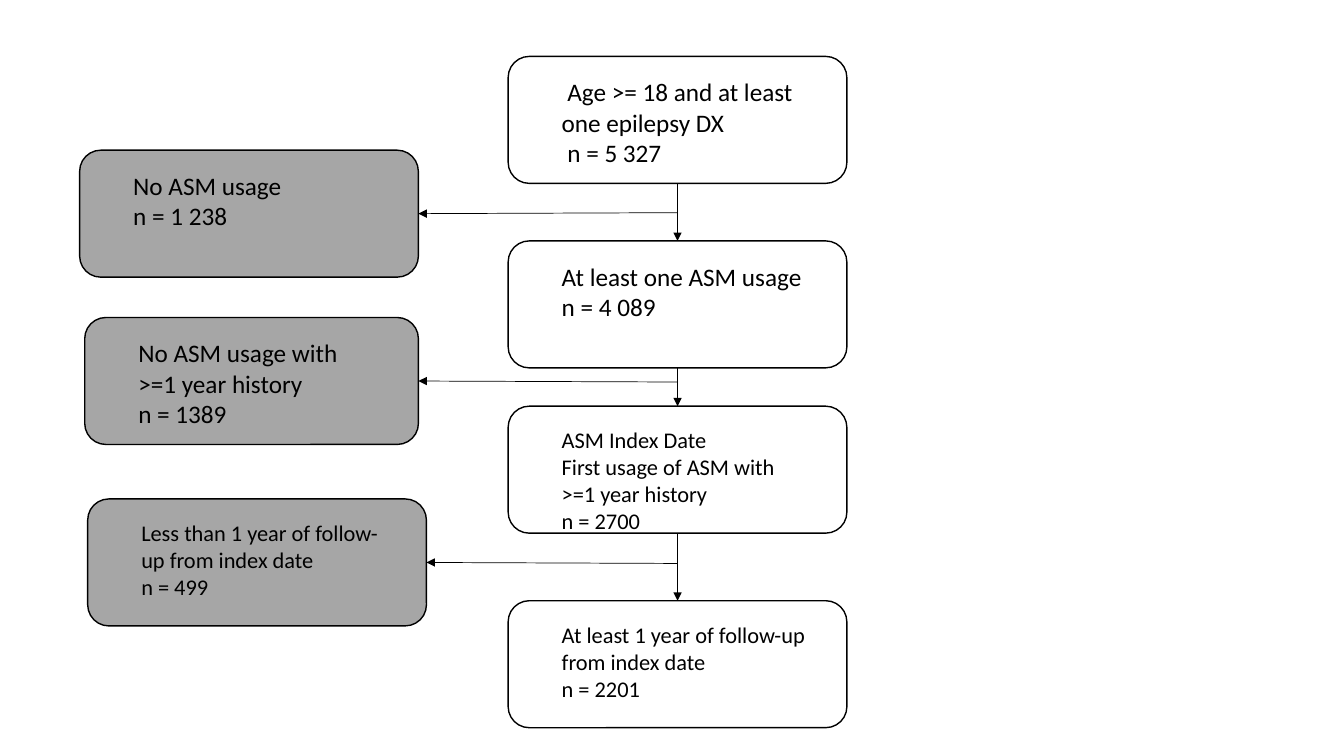
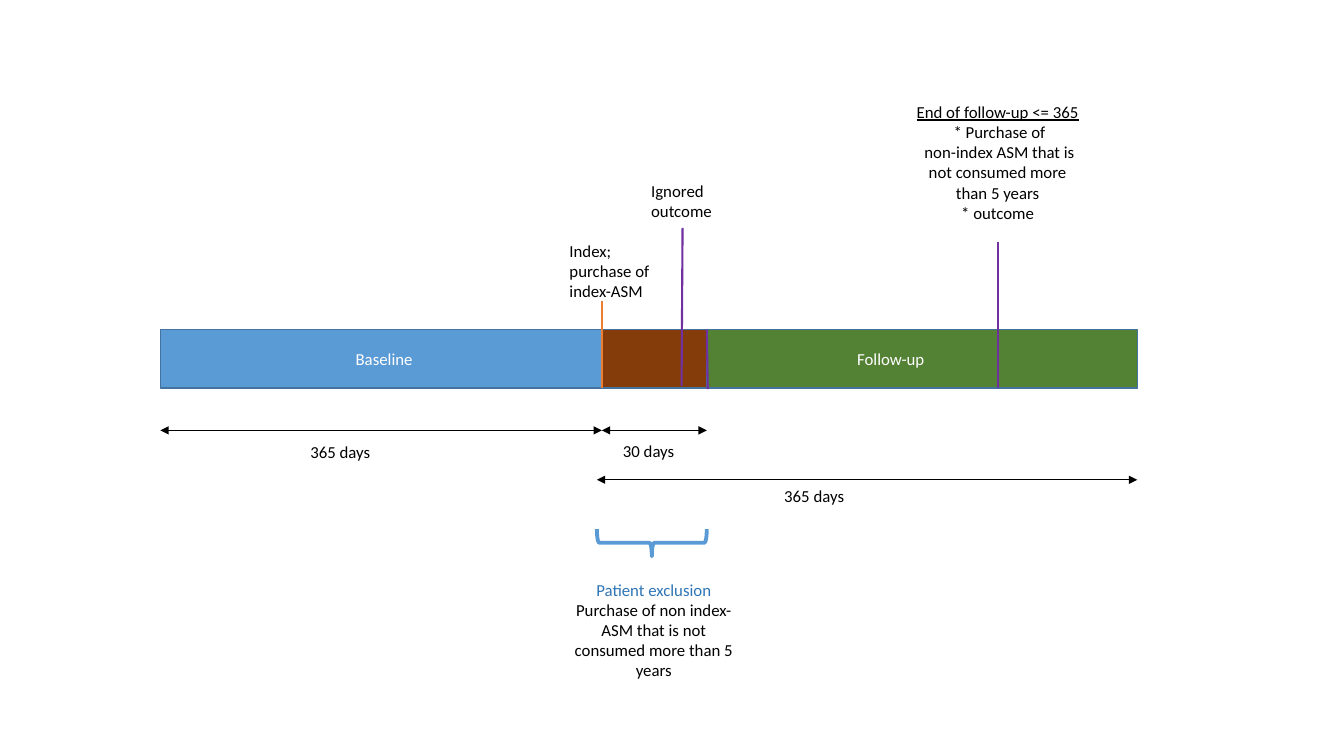
from pptx import Presentation
from pptx.dml.color import RGBColor
from pptx.enum.shapes import MSO_CONNECTOR, MSO_SHAPE
from pptx.enum.text import MSO_ANCHOR, PP_ALIGN
from pptx.oxml.ns import qn
from pptx.util import Inches, Pt
from lxml.etree import SubElement

# Shared style
FONT = "Calibri"
BLACK, WHITE, GREY = "000000", "FFFFFF", "A6A6A6"
BLUE, BLUE_EDGE, BLUE_TEXT = "5B9BD5", "43739E", "2E75B6"
BROWN, GREEN, ORANGE, PURPLE = "843C0B", "548235", "ED7D31", "7030A0"


def rgb(value):
    return RGBColor.from_string(value)


def add_text(tf, paragraphs, size, color=BLACK, align=PP_ALIGN.LEFT):
    """Each paragraph is a string or a (string, colour, underline) tuple."""
    tf.word_wrap = True
    for i, item in enumerate(paragraphs):
        text, run_color, underline = (item, color, False) if isinstance(item, str) else item
        p = tf.paragraphs[0] if i == 0 else tf.add_paragraph()
        p.alignment = align
        r = p.add_run()
        r.text = text
        r.font.name = FONT
        r.font.size = Pt(size)
        r.font.underline = underline
        r.font.color.rgb = rgb(run_color)


def set_margins(tf, left, top, right, bottom):
    tf.margin_left, tf.margin_top = Inches(left), Inches(top)
    tf.margin_right, tf.margin_bottom = Inches(right), Inches(bottom)


def add_box(slide, kind, box, fill, line, width=1):
    sp = slide.shapes.add_shape(kind, *[Inches(v) for v in box])
    sp.shadow.inherit = False
    if fill:
        sp.fill.solid()
        sp.fill.fore_color.rgb = rgb(fill)
    else:
        sp.fill.background()
    sp.line.color.rgb = rgb(line)
    sp.line.width = Pt(width)
    return sp


def add_label(slide, box, paragraphs, align=PP_ALIGN.LEFT):
    tb = slide.shapes.add_textbox(*[Inches(v) for v in box])
    add_text(tb.text_frame, paragraphs, 12, align=align)


def add_line(slide, start, end, color=BLACK, width=1.0, arrows=()):
    """arrows holds "headEnd" and/or "tailEnd"."""
    cn = slide.shapes.add_connector(
        MSO_CONNECTOR.STRAIGHT, *[Inches(v) for v in (*start, *end)])
    cn.line.color.rgb = rgb(color)
    cn.line.width = Pt(width)
    ln = cn.line._get_or_add_ln()
    for arrow in arrows:
        SubElement(ln, qn(f"a:{arrow}")).set("type", "triangle")
    SubElement(cn._element.spPr, qn("a:effectLst"))
    return cn


# Slide 1: patient selection flow
BOX_H = 1.26


def flow_box(slide, left, top, width, size, paragraphs, fill=None):
    sp = add_box(slide, MSO_SHAPE.ROUNDED_RECTANGLE, (left, top, width, BOX_H), fill, BLACK)
    tf = sp.text_frame
    tf.vertical_anchor = MSO_ANCHOR.TOP
    set_margins(tf, 0.47, 0.14, 0.31, 0)
    add_text(tf, paragraphs, size)
    return sp


def flow_slide(slide):
    left, width = 5.04, 3.36
    center = left + width / 2
    steps = [
        (0.56, 18, [" Age >= 18 and at least one epilepsy DX", " n = 5 327"]),
        (2.39, 18, ["At least one ASM usage", "n = 4 089"]),
        (4.03, 16, ["ASM Index Date", "First usage of ASM with >=1 year history", "n = 2700"]),
        (5.96, 16, ["At least 1 year of follow-up from index date", "n = 2201"]),
    ]
    exclusions = [
        (0.79, 1.49, 3.36, 18, ["No ASM usage", "n = 1 238"], 2.11),
        (0.84, 3.15, 3.31, 18, ["No ASM usage with >=1 year history", "n = 1389"], 3.79),
        (0.87, 4.95, 3.36, 16,
         ["Less than 1 year of follow-up from index date", "n = 499"], 5.59),
    ]
    boxes = [flow_box(slide, left, top, width, size, text) for top, size, text in steps]
    # Arrows down the main column
    for upper, lower in zip(boxes, boxes[1:]):
        cn = add_line(slide, (center, 0), (center, 1), width=0.5, arrows=["tailEnd"])
        cn.begin_connect(upper, 2)
        cn.end_connect(lower, 0)
    # Excluded groups, each with its branch
    for x, y, w, size, text, branch_y in exclusions:
        sp = flow_box(slide, x, y, w, size, text, GREY)
        cn = add_line(slide, (center, branch_y), (x + w, branch_y),
                      width=0.5, arrows=["tailEnd"])
        cn.end_connect(sp, 3)


# Slide 2: study timeline
START, INDEX, GRACE_END, END = 1.59, 5.97, 7.01, 11.28
FOLLOW_START = 5.92


def timeline_bar(slide, top, height):
    # Start, end, fill, text and horizontal shift of the text
    periods = [
        (START, INDEX, BLUE, "Baseline", 0.03),
        (INDEX, GRACE_END, BROWN, None, 0),
        (GRACE_END, END, GREEN, "Follow-up", -0.31),
    ]
    for x1, x2, fill, text, shift in periods:
        sp = add_box(slide, MSO_SHAPE.RECTANGLE, (x1, top, x2 - x1, height), fill, BLUE_EDGE)
        if text:
            tf = sp.text_frame
            tf.vertical_anchor = MSO_ANCHOR.MIDDLE
            set_margins(tf, max(2 * shift, 0), 0, max(-2 * shift, 0), 0)
            add_text(tf, [text], 12, WHITE, PP_ALIGN.CENTER)


def event_markers(slide, top, height):
    bottom = top + height
    events = [
        ((INDEX, top - 0.28), (INDEX, bottom), ORANGE),
        ((6.77, top - 1.01), (6.76, bottom - 0.02), PURPLE),
        ((GRACE_END, top), (GRACE_END + 0.01, bottom + 0.01), PURPLE),
        ((9.9, top - 0.87), (9.9, bottom), PURPLE),
    ]
    for start, end, color in events:
        add_line(slide, start, end, color, 1.5)
    add_label(slide, (5.55, top - 0.93, 1.24, 0.71), ["Index; purchase of index-ASM"])
    add_label(slide, (6.36, top - 1.53, 1.24, 0.5), ["Ignored outcome"])
    add_label(slide, (8.96, top - 2.31, 1.87, 1.51), [
        ("End of follow-up <= 365", BLACK, True),
        " * Purchase of",
        " non-index ASM that is not consumed more than 5 years",
        "* outcome",
    ], PP_ALIGN.CENTER)


def duration_arrows(slide, top):
    # Start, end, arrow offset, label left and label offset
    spans = [
        (START, INDEX, 0, "365 days", 2.98, 0.06),
        (INDEX, GRACE_END, 0, "30 days", 6.08, 0.05),
        (FOLLOW_START, END, 0.49, "365 days", 7.68, 0.5),
    ]
    for x1, x2, dy, text, label_x, label_dy in spans:
        add_line(slide, (x1, top + dy), (x2, top + dy), arrows=["headEnd", "tailEnd"])
        add_label(slide, (label_x, top + label_dy, 1.24, 0.3), [text])


def exclusion_note(slide, top):
    # The brace is turned a quarter, so its box is set around its centre
    span, depth = GRACE_END - FOLLOW_START, 0.27
    cx, cy = (GRACE_END + FOLLOW_START) / 2, top + depth / 2
    brace = add_box(slide, MSO_SHAPE.RIGHT_BRACE,
                    (cx - depth / 2, cy - span / 2, depth, span), None, BLUE, 2.75)
    brace.rotation = 90
    add_label(slide, (5.55, top + 0.45, 1.87, 1.3), [
        ("Patient exclusion", BLUE_TEXT, False),
        "Purchase of non index-ASM that is not consumed more than 5 years",
    ], PP_ALIGN.CENTER)


def timeline_slide(slide):
    bar_top, bar_height = 3.27, 0.58
    timeline_bar(slide, bar_top, bar_height)
    event_markers(slide, bar_top, bar_height)
    duration_arrows(slide, bar_top + 1)
    exclusion_note(slide, bar_top + 1.98)


def main():
    prs = Presentation()
    prs.slide_width, prs.slide_height = Inches(13.33), Inches(7.5)
    for build in (flow_slide, timeline_slide):
        build(prs.slides.add_slide(prs.slide_layouts[6]))
    prs.save("out.pptx")


if __name__ == "__main__":
    main()
